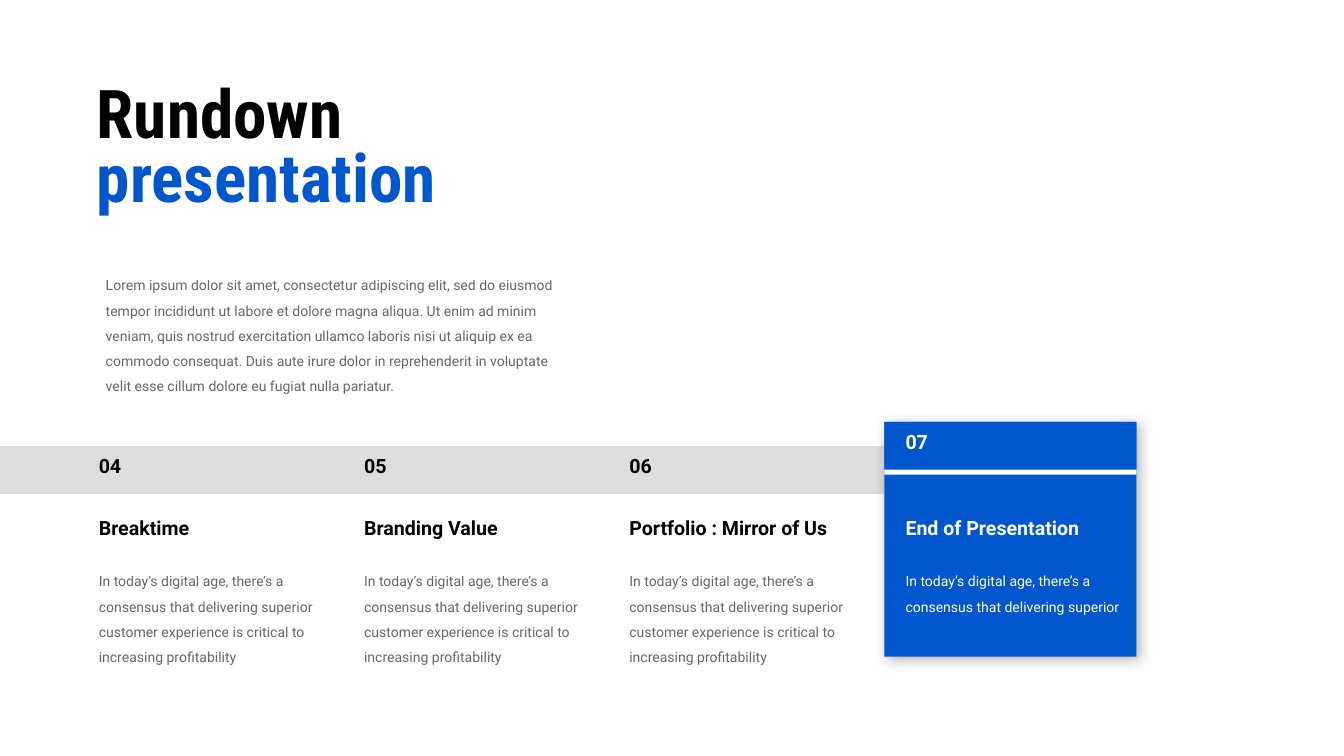
"""Builds the rundown slide: a title, an introduction and four agenda columns, the last one highlighted."""
from lxml.etree import SubElement
from pptx import Presentation
from pptx.dml.color import RGBColor
from pptx.enum.shapes import MSO_SHAPE
from pptx.enum.text import MSO_ANCHOR, MSO_AUTO_SIZE as AUTO, PP_ALIGN
from pptx.oxml.ns import qn
from pptx.util import Cm, Pt

COLORS = {"black": "000000", "blue": "0056CC", "band": "DDDDDD", "white": "FFFFFF"}


def add_block(left, top, width, height, color):
    block = slide.shapes.add_shape(MSO_SHAPE.RECTANGLE, Cm(left), Cm(top), Cm(width), Cm(height))
    block.shadow.inherit = False
    block.fill.solid()
    block.fill.fore_color.rgb = RGBColor.from_string(COLORS[color])
    block.line.fill.background()
    return block


def write(box, lines, size, font="Roboto", bold=False, spacing=0.8, alpha=100, inset=0):
    frame = box.text_frame
    frame.word_wrap = True
    frame.auto_size = AUTO.SHAPE_TO_FIT_TEXT
    frame.vertical_anchor = MSO_ANCHOR.TOP
    frame.margin_left = frame.margin_right = frame.margin_top = frame.margin_bottom = Cm(inset)
    for number, (text, color) in enumerate(lines):
        paragraph = frame.add_paragraph() if number else frame.paragraphs[0]
        paragraph.alignment = PP_ALIGN.LEFT
        paragraph.line_spacing = spacing
        run = paragraph.add_run()
        run.text = text
        run.font.name, run.font.size, run.font.bold = font, Pt(size), bold
        run.font.color.rgb = RGBColor.from_string(COLORS[color])
        if alpha < 100:
            tint = run.font.fill._xPr.find(qn("a:solidFill"))[0]
            SubElement(tint, qn("a:alpha"), val=str(alpha * 1000))


prs = Presentation()
prs.slide_width, prs.slide_height = Cm(67.74), Cm(38.1)
slide = prs.slides.add_slide(prs.slide_layouts[5])

title = slide.shapes.title
title.left, title.top, title.width, title.height = Cm(4.88), Cm(4.37), Cm(19.3), Cm(7.32)
write(title, [("Rundown", "black"), ("presentation", "blue")], 96, "Roboto Condensed", bold=True)

intro = slide.shapes.add_textbox(Cm(5.08), Cm(13.28), Cm(24.28), Cm(6.43))
intro_text = (
    "Lorem ipsum dolor sit amet, consectetur adipiscing elit, sed do eiusmod tempor incididunt ut labore "
    "et dolore magna aliqua. Ut enim ad minim veniam, quis nostrud exercitation ullamco laboris nisi ut "
    "aliquip ex ea commodo consequat. Duis aute irure dolor in reprehenderit in voluptate velit esse "
    "cillum dolore eu fugiat nulla pariatur."
)
write(intro, [(intro_text, "black")], 20, spacing=1.5, alpha=60, inset=0.25)

card_left, card_top, card_width, band_height = 44.58, 21.26, 12.7, 2.41
add_block(0, 22.48, card_left, band_height, "band")
card = add_block(card_left, card_top, card_width, 11.84, "blue")
shadow = SubElement(card.element.spPr.find(qn("a:effectLst")), qn("a:outerShdw"),
                    blurRad=str(Pt(20)), dist=str(Pt(5.3)), dir="2700000", algn="tl", rotWithShape="0")
shadow_color = SubElement(shadow, qn("a:srgbClr"), val=COLORS["black"])
SubElement(shadow_color, qn("a:alpha"), val="30000")
add_block(card_left, card_top, card_width, band_height, "blue")
add_block(card_left, card_top + band_height, card_width, 0.25, "white")

short_summary = "In today’s digital age, there’s a consensus that delivering superior"
full_summary = short_summary + " customer experience is critical to increasing profitability"
agenda = [
    (4.98, 23.09, "04", "Breaktime", full_summary, "black", 60),
    (18.35, 23.09, "05", "Branding Value", full_summary, "black", 60),
    (31.72, 23.09, "06", "Portfolio : Mirror of Us", full_summary, "black", 60),
    (45.64, 21.89, "07", "End of Presentation", short_summary, "white", 100),
]
for left, number_top, number, heading, summary, color, alpha in agenda:
    number_box = slide.shapes.add_textbox(Cm(left), Cm(number_top), Cm(2.62), Cm(1.17))
    write(number_box, [(number, color)], 28, bold=True)
    heading_box = slide.shapes.add_textbox(Cm(left), Cm(26.21), Cm(10.72), Cm(1.17))
    write(heading_box, [(heading, color)], 28, bold=True)
    summary_height = 4.65 if summary == full_summary else 2.11
    summary_box = slide.shapes.add_textbox(Cm(left), Cm(28.45), Cm(11.02), Cm(summary_height))
    write(summary_box, [(summary, color)], 20, spacing=1.5, alpha=alpha)

prs.save("out.pptx")
